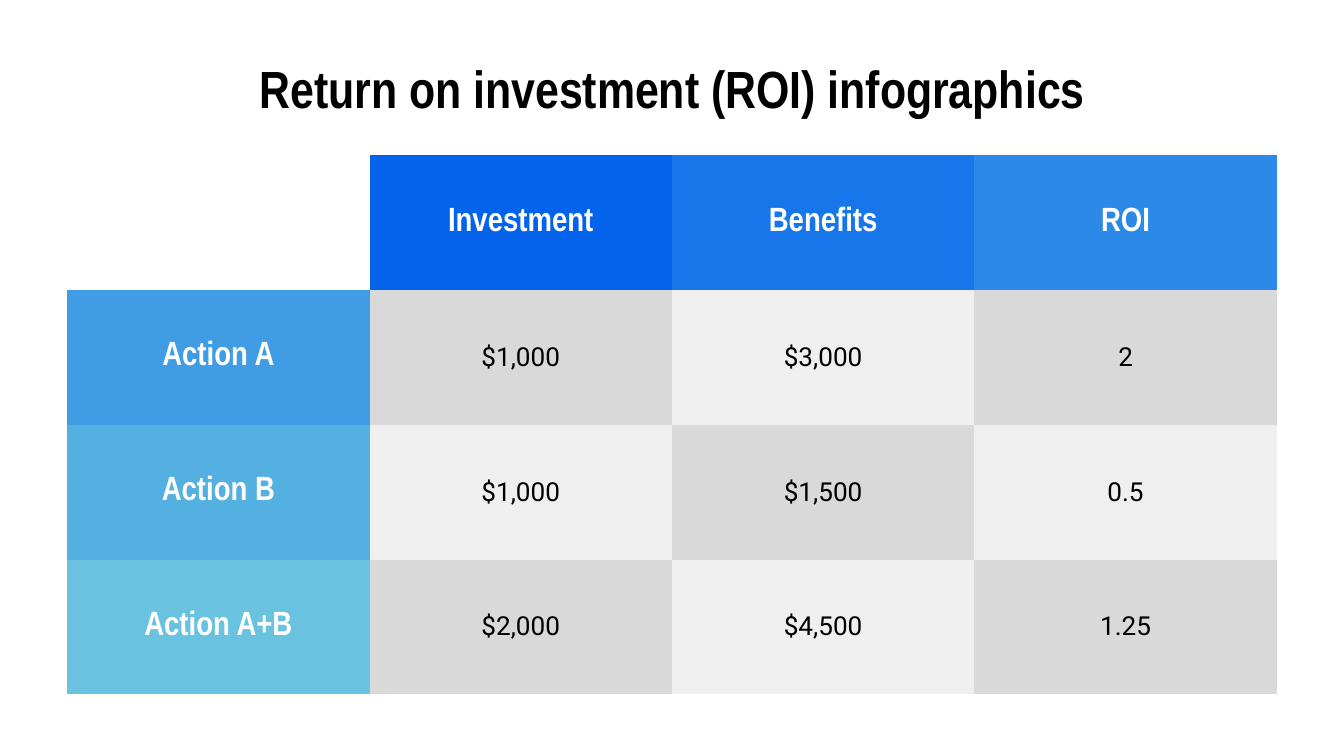
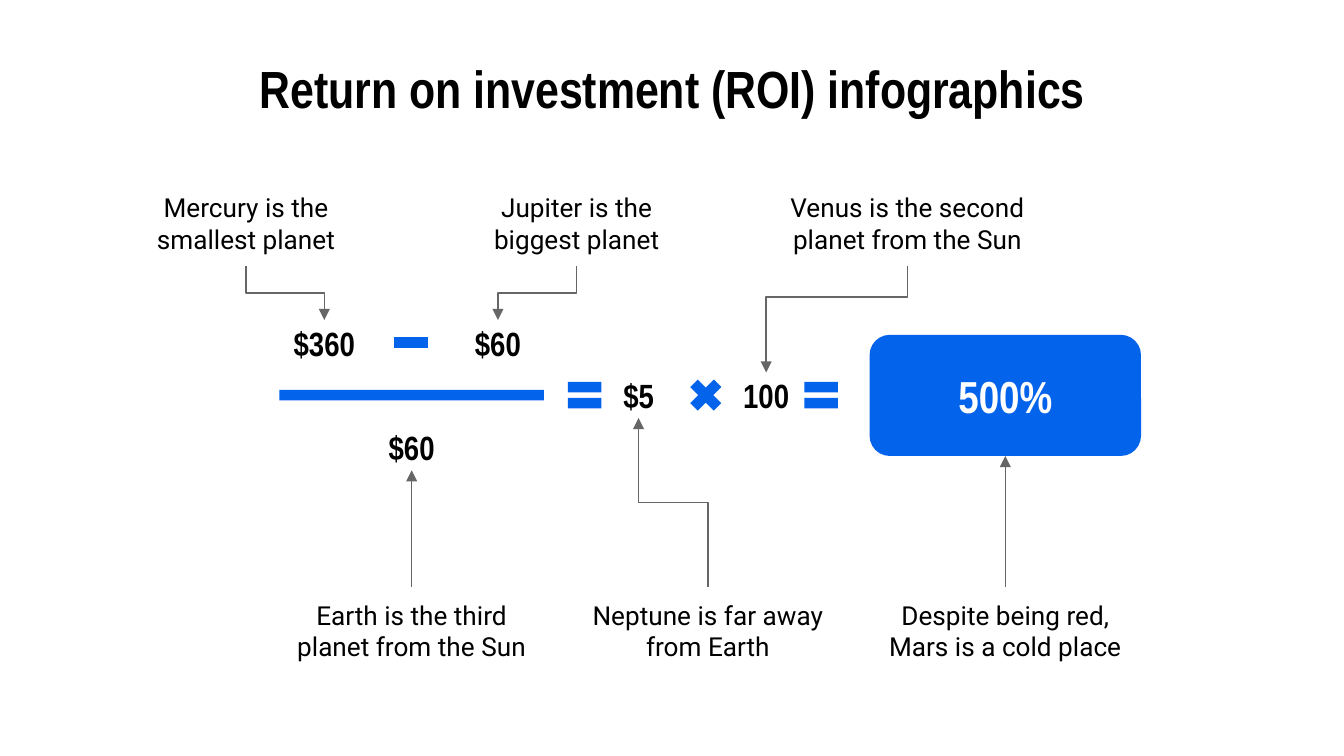
from lxml import etree
from pptx import Presentation
from pptx.dml.color import RGBColor
from pptx.enum.shapes import MSO_CONNECTOR, MSO_SHAPE
from pptx.enum.text import MSO_ANCHOR, PP_ALIGN
from pptx.oxml.ns import qn
from pptx.util import Cm, Pt

BLUE = RGBColor(0x03, 0x63, 0xEB)
BLACK = RGBColor(0x00, 0x00, 0x00)
WHITE = RGBColor(0xFF, 0xFF, 0xFF)
GRAY = RGBColor(0x66, 0x66, 0x66)
DARK_CELL = RGBColor(0xD9, 0xD9, 0xD9)
LIGHT_CELL = RGBColor(0xEF, 0xEF, 0xEF)
COLUMN_BLUES = [BLUE, RGBColor(0x17, 0x76, 0xE9), RGBColor(0x2C, 0x89, 0xE7)]
ROW_BLUES = [RGBColor(0x40, 0x9D, 0xE4), RGBColor(0x55, 0xB0, 0xE2),
             RGBColor(0x69, 0xC3, 0xE0)]

HEADING_FONT = "Arial Narrow"
BODY_FONT = "Roboto"
INSET = Cm(0.25)
PLAIN_TABLE_STYLE = "{2D5ABB26-0587-4C30-8999-92F81FD0307C}"
TITLE = "Return on investment (ROI) infographics"

CENTER = PP_ALIGN.CENTER
MIDDLE = MSO_ANCHOR.MIDDLE
STRAIGHT = MSO_CONNECTOR.STRAIGHT
ELBOW = MSO_CONNECTOR.ELBOW
RECTANGLE = MSO_SHAPE.RECTANGLE
ROUNDED = MSO_SHAPE.ROUNDED_RECTANGLE
EQUAL = MSO_SHAPE.MATH_EQUAL
MINUS = MSO_SHAPE.MATH_MINUS
MULTIPLY = MSO_SHAPE.MATH_MULTIPLY


class Deck:
    """Shared style and the current slide; all lengths are in centimetres."""

    def __init__(self):
        self.presentation = Presentation()
        self.presentation.slide_width = Cm(25.4)
        self.presentation.slide_height = Cm(14.29)
        self.slide = None

    def add_slide(self, title):
        layout = self.presentation.slide_layouts[6]
        self.slide = self.presentation.slides.add_slide(layout)
        self.add_text(title, 12.7, 1.14, 22.86, 1.04, 28)

    def add_run(self, frame, text, size, color, heading):
        paragraph = frame.paragraphs[0]
        paragraph.alignment = CENTER
        run = paragraph.add_run()
        run.text = text
        run.font.size = Pt(size)
        run.font.name = HEADING_FONT if heading else BODY_FONT
        run.font.bold = heading
        run.font.color.rgb = color

    def fill_frame(self, frame, text, size, color, heading=True):
        frame.word_wrap = True
        frame.vertical_anchor = MIDDLE
        frame.margin_left = frame.margin_right = INSET
        frame.margin_top = frame.margin_bottom = INSET
        self.add_run(frame, text, size, color, heading)

    def add_text(self, text, center, top, width, height, size, heading=True):
        box = self.slide.shapes.add_textbox(
            Cm(center - width / 2), Cm(top), Cm(width), Cm(height))
        self.fill_frame(box.text_frame, text, size, BLACK, heading)

    def add_shape(self, kind, left, top, width, height, adjustments=()):
        shape = self.slide.shapes.add_shape(
            kind, Cm(left), Cm(top), Cm(width), Cm(height))
        shape.shadow.inherit = False
        shape.fill.solid()
        shape.fill.fore_color.rgb = BLUE
        shape.line.fill.background()
        for index, value in enumerate(adjustments):
            shape.adjustments[index] = value
        return shape

    def add_arrow(self, x1, y1, x2, y2, bend=0.5):
        """Draw an arrow that leaves and arrives vertically."""
        if x1 == x2:
            connector = self.slide.shapes.add_connector(
                STRAIGHT, Cm(x1), Cm(y1), Cm(x2), Cm(y2))
        else:
            connector = self.add_elbow(x1, y1, x2, y2, bend)
        connector.line.color.rgb = GRAY
        connector.line.width = Pt(0.75)
        properties = connector.element.spPr
        line = properties.find(qn("a:ln"))
        etree.SubElement(line, qn("a:tailEnd"), type="triangle")
        etree.SubElement(properties, qn("a:effectLst"))

    def add_elbow(self, x1, y1, x2, y2, bend):
        """Turn a horizontal elbow a quarter so that it starts vertically."""
        center_x, center_y = (x1 + x2) / 2, (y1 + y2) / 2
        half_width, half_height = abs(y2 - y1) / 2, abs(x2 - x1) / 2
        connector = self.slide.shapes.add_connector(
            ELBOW, Cm(center_x - half_width), Cm(center_y - half_height),
            Cm(center_x + half_width), Cm(center_y + half_height))
        properties = connector.element.spPr
        transform = properties.find(qn("a:xfrm"))
        transform.set("rot", str((90 if x2 < x1 else 270) * 60000))
        if (x2 > x1) == (y2 > y1):
            transform.set("flipH", "1")
        guides = properties.find(qn("a:prstGeom")).find(qn("a:avLst"))
        etree.SubElement(guides, qn("a:gd"), name="adj1",
                         fmla=f"val {round(bend * 100000)}")
        return connector

    def add_table(self, rows, left, top, width, height):
        frame = self.slide.shapes.add_table(
            len(rows), len(rows[0]), Cm(left), Cm(top), Cm(width), Cm(height))
        table = frame.table
        table.first_row = table.horz_banding = False
        style = next(frame.element.iter(qn("a:tableStyleId")))
        style.text = PLAIN_TABLE_STYLE
        for row_index, row in enumerate(rows):
            for column_index, text in enumerate(row):
                cell = table.cell(row_index, column_index)
                self.fill_cell(cell, text, row_index, column_index)

    def fill_cell(self, cell, text, row, column):
        if not text:
            cell.fill.background()
            return
        heading = row == 0 or column == 0
        if row == 0:
            color = COLUMN_BLUES[column - 1]
        elif column == 0:
            color = ROW_BLUES[row - 1]
        else:
            color = LIGHT_CELL if (row + column) % 2 else DARK_CELL
        cell.fill.solid()
        cell.fill.fore_color.rgb = color
        cell.vertical_anchor = MIDDLE
        cell.margin_left = cell.margin_right = INSET
        cell.margin_top = cell.margin_bottom = INSET
        self.add_run(cell.text_frame, text, 18 if heading else 14,
                     WHITE if heading else BLACK, heading)


def add_table_slide(deck):
    deck.add_slide(TITLE)
    deck.add_table([
        ["", "Investment", "Benefits", "ROI"],
        ["Action A", "$1,000", "$3,000", "2"],
        ["Action B", "$1,000", "$1,500", "0.5"],
        ["Action A+B", "$2,000", "$4,500", "1.25"],
    ], 1.27, 2.93, 22.86, 10.2)


def add_formula_slide(deck):
    deck.add_slide(TITLE)
    size = 0.86
    numerator, middle, denominator = 6.05, 7.04, 8.03
    gain, cost, ratio, hundred, divisor, result = (
        6.13, 9.41, 12.07, 14.48, 7.78, 19.0)

    for kind, left, top, adjustments in [
        (EQUAL, 10.62, middle, (0.235, 0.118)),
        (MINUS, 7.34, numerator, (0.235,)),
        (MULTIPLY, 12.91, middle, (0.235,)),
        (EQUAL, 15.09, middle, (0.235, 0.118)),
    ]:
        deck.add_shape(kind, left, top, size, size, adjustments)
    deck.add_shape(RECTANGLE, 5.28, 7.37, 5.0, 0.2)

    for text, center, top, width in [
        ("$360", gain, numerator, 3.58),
        ("$60", cost, numerator, 3.58),
        ("100", hundred, middle, 2.03),
        ("$60", divisor, denominator, 3.58),
        ("$5", ratio, middle, 2.03),
    ]:
        deck.add_text(text, center, top, width, size, 18)

    box_width, box_top, box_height = 5.13, 6.33, 2.29
    box = deck.add_shape(ROUNDED, result - box_width / 2, box_top,
                         box_width, box_height, (0.167,))
    deck.fill_frame(box.text_frame, "500%", 24, WHITE)

    note_width, note_height = 5.0, 1.63
    upper, lower = 3.4, 11.1
    for text, center, top, target_x, target_y, bend in [
        ("Mercury is the smallest planet", 4.65, upper, gain, numerator, 0.5),
        ("Jupiter is the biggest planet", 10.9, upper, cost, numerator, 0.5),
        ("Venus is the second planet from the Sun", 17.15, upper,
         hundred, middle, 0.29),
        ("Earth is the third planet from the Sun", divisor, lower,
         divisor, denominator + size, 0.5),
        ("Neptune is far away from Earth", 13.38, lower,
         ratio, middle + size, 0.5),
        ("Despite being red, Mars is a cold place", result, lower,
         result, box_top + box_height, 0.5),
    ]:
        deck.add_text(text, center, top, note_width, note_height, 14, False)
        start_y = top + note_height if top == upper else top
        deck.add_arrow(center, start_y, target_x, target_y, bend)


def main():
    deck = Deck()
    add_table_slide(deck)
    add_formula_slide(deck)
    deck.presentation.save("out.pptx")


if __name__ == "__main__":
    main()
